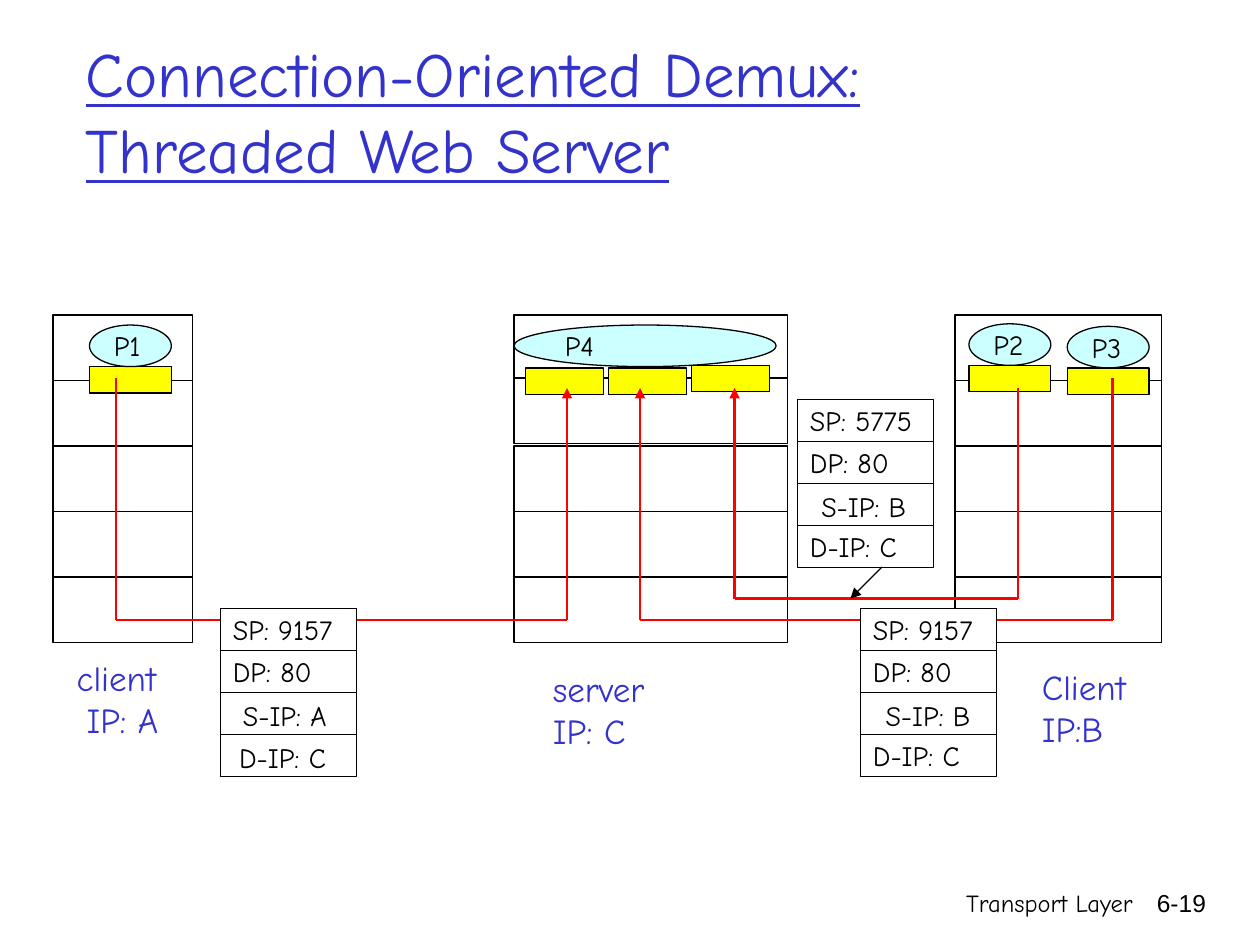
from lxml.etree import SubElement
from pptx import Presentation
from pptx.dml.color import RGBColor
from pptx.enum.shapes import MSO_CONNECTOR as LINE, MSO_SHAPE as SHAPE
from pptx.enum.text import MSO_ANCHOR as ANCHOR, MSO_AUTO_SIZE as AUTO, PP_ALIGN as ALIGN
from pptx.oxml.ns import qn
from pptx.util import Inches, Pt

COMIC = "Comic Neue"
BLUE, BLACK, WHITE, RED = "3333CC", "000000", "FFFFFF", "FF0000"
YELLOW, CYAN = "FFFF00", "CCFFFF"
ROW_HEIGHT = 0.52
FIELD_WIDTH, FIELD_HEIGHT = 1.08, 1 / 3


def colour(value):
    return RGBColor.from_string(value)


def style_paragraph(paragraph, size, value, font=COMIC, align=ALIGN.LEFT):
    paragraph.alignment = align
    paragraph.font.name = font
    paragraph.font.size = Pt(size)
    paragraph.font.color.rgb = colour(value)


def add_box(slide, kind, left, top, width, height, fill, text=""):
    box = slide.shapes.add_shape(kind, Inches(left), Inches(top), Inches(width), Inches(height))
    box.shadow.inherit = False
    box.fill.solid()
    box.fill.fore_color.rgb = colour(fill)
    box.line.color.rgb = colour(BLACK)
    box.line.width = Pt(0.75)
    if text:
        frame = box.text_frame
        frame.word_wrap = False
        frame.vertical_anchor = ANCHOR.MIDDLE
        frame.text = text
        style_paragraph(frame.paragraphs[0], 16, BLACK)


def add_label(slide, left, top, width, height, text, size, value):
    label = slide.shapes.add_textbox(Inches(left), Inches(top), Inches(width), Inches(height))
    frame = label.text_frame
    frame.word_wrap = False
    frame.auto_size = AUTO.SHAPE_TO_FIT_TEXT
    frame.text = text
    for paragraph in frame.paragraphs:
        style_paragraph(paragraph, size, value)
    return frame


def add_footer(slide, left, width, text, font):
    footer = slide.shapes.add_textbox(Inches(left), Inches(7), Inches(width), Inches(0.5))
    footer.text_frame.word_wrap = True
    footer.text_frame.text = text
    style_paragraph(footer.text_frame.paragraphs[0], 14, BLACK, font, ALIGN.RIGHT)


def add_line(slide, start, end, value=RED, width=1.5, arrow=False):
    line = slide.shapes.add_connector(LINE.STRAIGHT, *map(Inches, start + end))
    line.line.color.rgb = colour(value)
    line.line.width = Pt(width)
    if arrow:
        SubElement(line.line._get_or_add_ln(), qn("a:tailEnd"), type="triangle")
    SubElement(line._element.spPr, qn("a:effectLst"))


def add_stack(slide, left, width, second_top=3.02):
    tops = [2.5 + row * ROW_HEIGHT for row in range(5)]
    tops[1] = second_top
    for top in tops:
        add_box(slide, SHAPE.RECTANGLE, left, top, width, ROW_HEIGHT, WHITE)


def add_socket(slide, left, top, width):
    add_box(slide, SHAPE.RECTANGLE, left, top, width, 0.21, YELLOW)


def add_process(slide, left, top, width, name):
    add_box(slide, SHAPE.OVAL, left, top, width, 0.33, CYAN, name)


def add_packet(slide, left, top, fields, shifts):
    for row, field in enumerate(fields):
        row_top = top + row * FIELD_HEIGHT
        shift = shifts.get(row)
        add_box(slide, SHAPE.RECTANGLE, left, row_top, FIELD_WIDTH, FIELD_HEIGHT,
                WHITE, "" if shift else field)
        if shift:
            add_label(slide, left + shift, row_top, 0.96, 0.37, field, 16, BLACK)


def add_title(slide):
    title = slide.shapes.title
    title.left, title.top, title.width, title.height = map(Inches, (0.58, 0.25, 8.5, 1.25))
    frame = title.text_frame
    frame.text = "Connection-Oriented Demux: Threaded Web Server"
    frame.word_wrap = True
    frame.auto_size = AUTO.NONE
    frame.vertical_anchor = ANCHOR.MIDDLE
    style_paragraph(frame.paragraphs[0], 36, BLUE)
    frame.paragraphs[0].font.underline = True


def add_client_a(slide):
    add_stack(slide, 0.42, 1.11)
    add_socket(slide, 0.71, 2.91, 0.65)
    add_process(slide, 0.71, 2.58, 0.65, "P1")
    address = add_label(slide, 0.51, 5.16, 0.95, 0.77, "client\nIP: A", 20, BLUE).paragraphs[1]
    address._p.get_or_add_pPr().set("marL", str(Inches(0.08)))


def add_client_b(slide):
    add_label(slide, 8.17, 5.23, 0.95, 0.77, "Client\nIP:B", 20, BLUE)
    add_stack(slide, 7.58, 1.64)
    for left, top, name in ((7.69, 2.57, "P2"), (8.47, 2.59, "P3")):
        add_socket(slide, left, top + 0.33, 0.65)
        add_process(slide, left, top, 0.65, name)


def add_server(slide):
    add_stack(slide, 4.08, 2.17, second_top=3)
    for left in (4.17, 4.83):
        add_socket(slide, left, 2.92, 0.62)
    add_process(slide, 4.08, 2.58, 2.08, "P4")
    add_socket(slide, 5.49, 2.9, 0.62)
    add_label(slide, 4.29, 5.25, 1.05, 0.77, "server\nIP: C", 20, BLUE)


def add_connection(slide, client_x, client_top, server_x, bottom):
    add_line(slide, (client_x, client_top), (client_x, bottom))
    add_line(slide, (server_x, bottom), (server_x, 3.08), arrow=True)
    add_line(slide, (client_x, bottom), (server_x, bottom))


def main():
    deck = Presentation()
    deck.slide_width, deck.slide_height = Inches(10), Inches(7.5)
    slide = deck.slides.add_slide(deck.slide_layouts[5])

    add_title(slide)
    add_footer(slide, 5.92, 3.17, "Transport Layer", COMIC)
    add_footer(slide, 8.93, 0.74, "6-19", "Arial")
    add_client_b(slide)
    add_server(slide)
    add_client_a(slide)

    add_connection(slide, 0.92, 3, 4.5, 4.92)
    add_connection(slide, 8.83, 3, 5.08, 4.92)
    add_connection(slide, 8.08, 3.08, 5.83, 4.75)

    add_packet(slide, 1.75, 4.83, ("SP: 9157", "DP: 80", "S-IP: A", "D-IP: C"), {2: 0.08, 3: 0.05})
    add_packet(slide, 6.83, 4.83, ("SP: 9157", "DP: 80", "S-IP: B", "D-IP: C"), {2: 0.1})
    add_packet(slide, 6.33, 3.17, ("SP: 5775", "DP: 80", "S-IP: B", "D-IP: C"), {2: 0.09})
    add_line(slide, (7, 4.5), (6.75, 4.75), BLACK, 0.75, arrow=True)

    deck.save("out.pptx")


if __name__ == "__main__":
    main()
